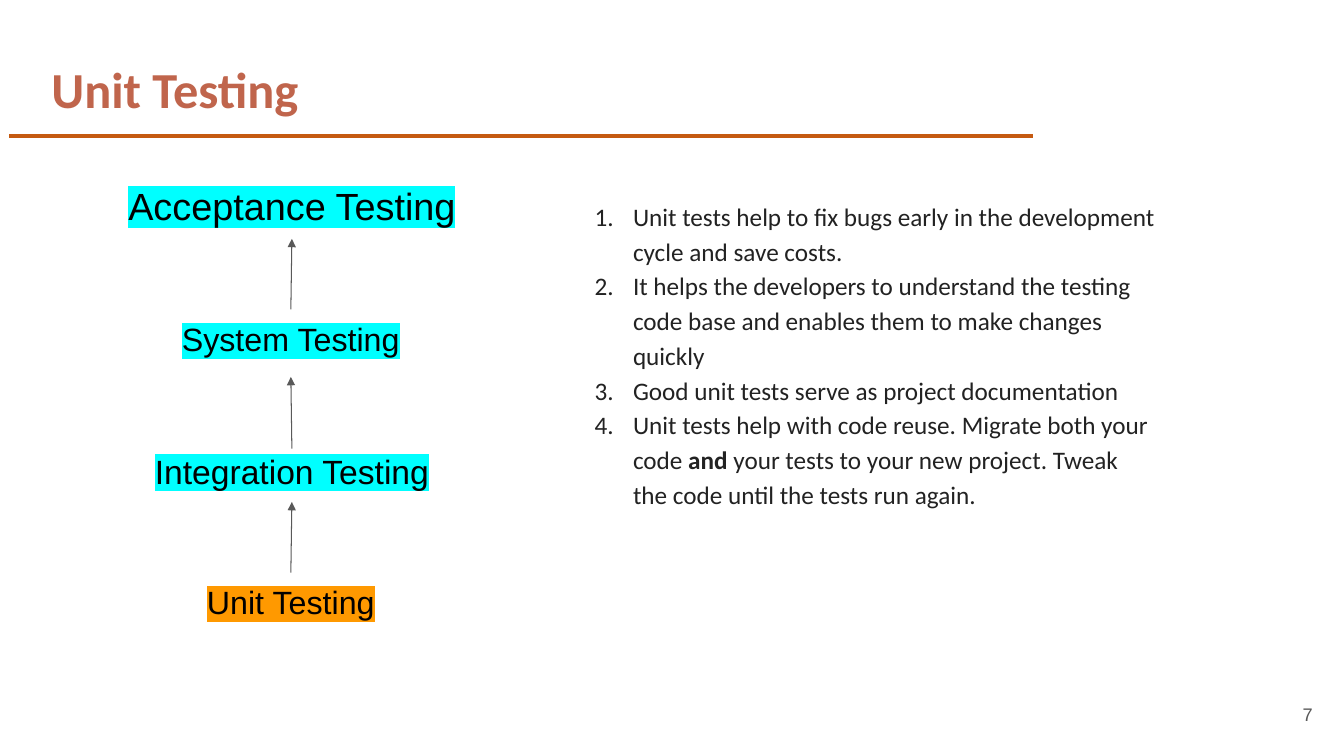
"""Build the Unit Testing slide: a ladder of test levels beside its benefits."""
from lxml import etree
from pptx import Presentation
from pptx.dml.color import RGBColor
from pptx.enum import shapes, text
from pptx.oxml import ns
from pptx.util import Inches, Pt

TITLE = "Unit Testing"
PAGE_NUMBER = "7"
CYAN, ORANGE, WHITE = "00FFFF", "FF9900", "FFFFFF"
BLACK, INK, GREY = "000000", "222222", "595959"
LEVELS = [
    ("Unit Testing", 23, ORANGE, (0.58, 5.68, 4.61, 0.59)),
    ("Integration Testing", 24, CYAN, (0.59, 4.37, 4.61, 0.61)),
    ("System Testing", 23, CYAN, (0.58, 3.07, 4.61, 0.59)),
    ("Acceptance Testing", 27, CYAN, (0.59, 1.71, 4.61, 0.66)),
]
ARROW_DROPS = [0, 0.08, 0]
BENEFITS = [
    ["Unit tests help to fix bugs early in the development cycle and save costs."],
    ["It helps the developers to understand the testing code base and enables "
     "them to make changes quickly"],
    ["Good unit tests serve as project documentation"],
    ["Unit tests help with code reuse. Migrate both your code ", "and",
     " your tests to your new project. Tweak the code until the tests run again."],
]
BOLD_WORD = "and"


def color(value):
    return RGBColor.from_string(value)


def add_element(parent, tag, **attributes):
    return etree.SubElement(parent, ns.qn(tag), attributes)


def style(para, size, name, ink, bold=None):
    font = para.font
    font.size, font.name, font.bold = Pt(size), name, bold
    font.color.rgb = color(ink)


def add_span(para, words, highlight=None):
    span = para.add_run()
    span.text = words
    if highlight:
        marker = add_element(span.font._element, "a:highlight")
        add_element(marker, "a:srgbClr", val=highlight)
    return span


def format_frame(box, inset=0.1, anchor=text.MSO_ANCHOR.TOP,
                 fit=text.MSO_AUTO_SIZE.NONE):
    frame = box.text_frame
    frame.word_wrap, frame.auto_size, frame.vertical_anchor = True, fit, anchor
    frame.margin_left = frame.margin_right = Inches(inset)
    frame.margin_top = frame.margin_bottom = Inches(inset)
    return frame.paragraphs[0]


def add_box(page, place, **options):
    box = page.shapes.add_textbox(*map(Inches, place))
    return box, format_frame(box, **options)


def add_line(page, start, end, ink, width):
    line = page.shapes.add_connector(
        shapes.MSO_CONNECTOR.STRAIGHT, *map(Inches, start + end))
    line.line.color.rgb = color(ink)
    line.line.width = Pt(width)
    add_element(line._element.spPr, "a:effectLst")
    return line


def add_title(page):
    title = page.shapes.title
    title.left, title.top, title.width, title.height = map(
        Inches, (0.41, 0.48, 9.4, 0.81))
    para = format_frame(title)
    para.alignment = text.PP_ALIGN.LEFT
    add_span(para, TITLE)
    style(para, 36, "Calibri", "C0654C", True)
    add_line(page, (0.09, 1.35), (10.25, 1.35), "C55A11", 3)


def add_ladder(page):
    boxes = []
    for words, size, highlight, place in LEVELS:
        box, para = add_box(page, place, fit=text.MSO_AUTO_SIZE.SHAPE_TO_FIT_TEXT)
        para.alignment = text.PP_ALIGN.CENTER
        add_span(para, words, highlight)
        style(para, size, "Arial", BLACK)
        boxes.append(box)
    for index, drop in enumerate(ARROW_DROPS):
        left, top, width, _ = LEVELS[index][3]
        next_left, next_top, next_width, next_height = LEVELS[index + 1][3]
        start = (left + width / 2, top + drop)
        end = (next_left + next_width / 2, next_top + next_height + drop)
        arrow = add_line(page, start, end, GREY, 0.75)
        add_element(arrow.line._get_or_add_ln(), "a:tailEnd", type="triangle")
        if not drop:
            arrow.begin_connect(boxes[index], 0)
            arrow.end_connect(boxes[index + 1], 2)


def add_benefits(page):
    box, para = add_box(page, (5.68, 1.85, 5.88, 3.29),
                        fit=text.MSO_AUTO_SIZE.SHAPE_TO_FIT_TEXT)
    for index, spans in enumerate(BENEFITS):
        if index:
            para = box.text_frame.add_paragraph()
        para.line_spacing = 1.15
        para.space_before = Pt(0 if index else 18)
        properties = para._p.get_or_add_pPr()
        properties.set("marL", str(Inches(0.5)))
        properties.set("indent", str(Inches(-0.38)))
        add_element(add_element(properties, "a:buClr"), "a:srgbClr", val=INK)
        add_element(properties, "a:buFont", typeface="Calibri")
        add_element(properties, "a:buAutoNum", type="arabicPeriod")
        style(para, 18, "Calibri", INK)
        for words in spans:
            span = add_span(para, words, WHITE)
            if words == BOLD_WORD:
                span.font.bold = True


def add_page_number(page):
    _, para = add_box(page, (12.35, 6.8, 0.8, 0.57), inset=0.13,
                      anchor=text.MSO_ANCHOR.MIDDLE)
    para.alignment = text.PP_ALIGN.RIGHT
    add_span(para, PAGE_NUMBER)
    style(para, 13, "Arial", GREY)


def main():
    deck = Presentation()
    deck.slide_width, deck.slide_height = Inches(13.33), Inches(7.5)
    page = deck.slides.add_slide(deck.slide_layouts.get_by_name("Title Only"))
    add_title(page)
    add_ladder(page)
    add_benefits(page)
    add_page_number(page)
    deck.save("out.pptx")


if __name__ == "__main__":
    main()
